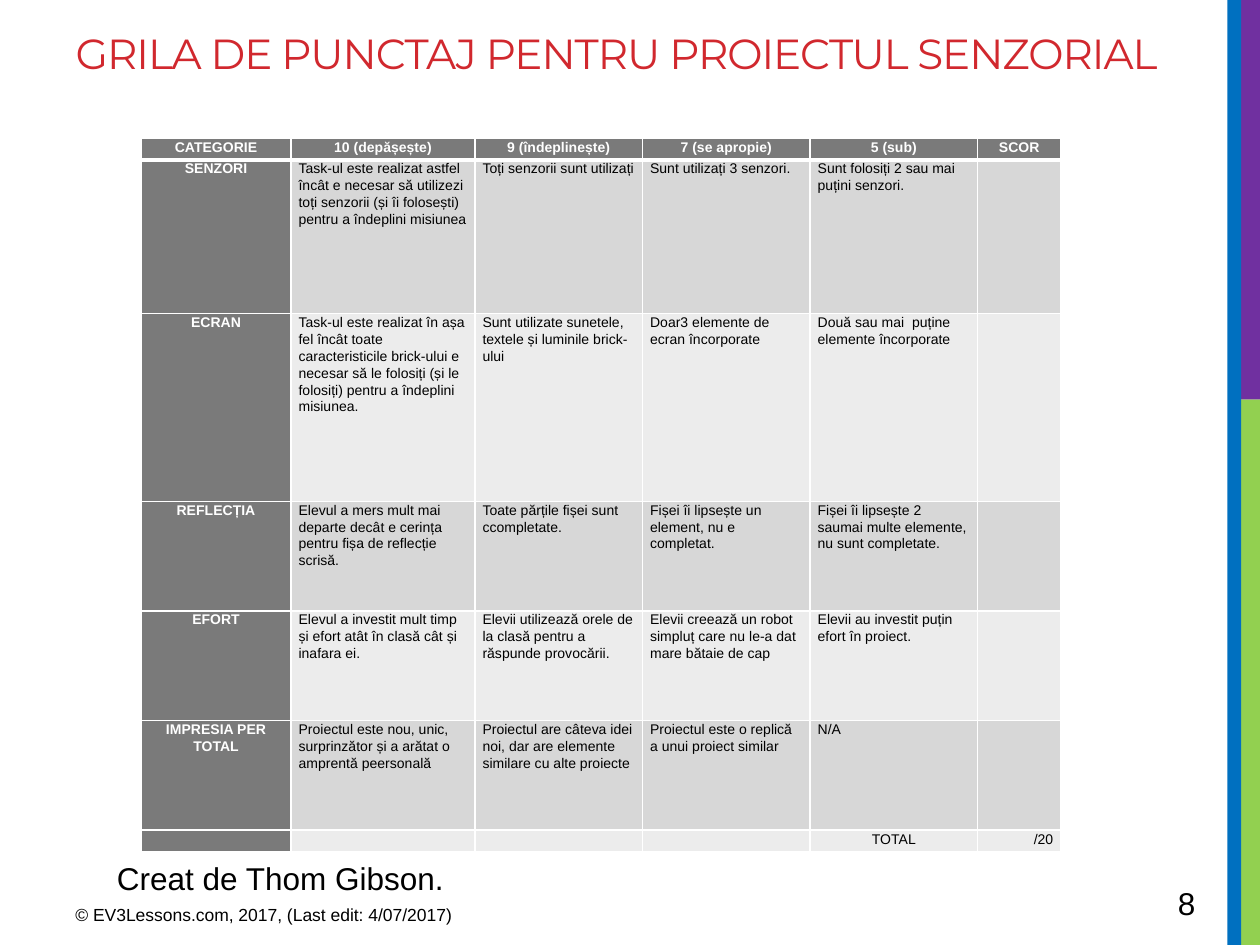
import pptx
import pptx.util
import pptx.dml.color
import pptx.enum.shapes
import pptx.enum.text
import pptx.oxml.ns
from lxml import etree

RGBColor = pptx.dml.color.RGBColor
Inches, Pt = pptx.util.Inches, pptx.util.Pt
ALIGN = pptx.enum.text.PP_ALIGN
ANCHOR = pptx.enum.text.MSO_ANCHOR

RED = RGBColor(0xD1, 0x28, 0x2E)
BLUE = RGBColor(0x00, 0x70, 0xC0)
GREEN = RGBColor(0x92, 0xD0, 0x50)
PURPLE = RGBColor(0x70, 0x30, 0xA0)
BLACK = RGBColor(0x00, 0x00, 0x00)
WHITE = RGBColor(0xFF, 0xFF, 0xFF)
DARK_GREY = RGBColor(0x7A, 0x7A, 0x7A)
BANDS = RGBColor(0xD7, 0xD7, 0xD7), RGBColor(0xEC, 0xEC, 0xEC)

TITLE = "GRILA DE PUNCTAJ PENTRU PROIECTUL SENZORIAL"
RUBRIC = [
    ["CATEGORIE", "10 (depășește)", "9 (îndeplinește)", "7 (se apropie)", "5 (sub)", "SCOR"],
    ["SENZORI",
     "Task-ul este realizat astfel încât e necesar să utilizezi toți senzorii (și îi folosești) pentru a îndeplini misiunea",
     "Toți senzorii sunt utilizați",
     "Sunt utilizați 3 senzori.",
     "Sunt folosiți 2 sau mai puțini senzori.", ""],
    ["ECRAN",
     "Task-ul este realizat în așa fel încât toate caracteristicile brick-ului e necesar să le folosiți (și le folosiți) pentru a îndeplini misiunea.",
     "Sunt utilizate sunetele, textele și luminile brick-ului",
     "Doar3 elemente de ecran încorporate",
     "Două sau mai  puține elemente încorporate", ""],
    ["REFLECȚIA",
     "Elevul a mers mult mai departe decât e cerința pentru fișa de reflecție scrisă.",
     "Toate părțile fișei sunt ccompletate.",
     "Fișei îi lipsește un element, nu e completat.",
     "Fișei îi lipsește 2 saumai multe elemente, nu sunt completate.", ""],
    ["EFORT",
     "Elevul a investit mult timp și efort atât în clasă cât și inafara ei.",
     "Elevii utilizează orele de la clasă pentru a răspunde provocării.",
     "Elevii creează un robot simpluț care nu le-a dat mare bătaie de cap",
     "Elevii au investit puțin efort în proiect.", ""],
    ["IMPRESIA PER TOTAL",
     "Proiectul este nou, unic, surprinzător și a arătat o amprentă peersonală",
     "Proiectul are câteva idei noi, dar are elemente similare cu alte proiecte",
     "Proiectul este o replică a unui proiect similar",
     "N/A", ""],
    ["", "", "", "", "TOTAL", "/20"],
]
COLUMN_WIDTHS = [1.19, 1.46, 1.33, 1.33, 1.33, 0.66]
ROW_HEIGHTS = [0.17, 1.22, 1.49, 0.87, 0.87, 0.87, 0.17]
TOTAL_ALIGN = {4: ALIGN.CENTER, 5: ALIGN.RIGHT}

SIDE_BARS = [
    (9.84, 3.17, 0.16, 4.33, GREEN),
    (9.8, 0, 0.2, 3.17, PURPLE),
    (9.74, 0, 0.11, 7.5, BLUE),
]
# text, position and size, font size, wrap, anchor
LABELS = [
    ("© EV3Lessons.com, 2017, (Last edit: 4/07/2017)", (0.5, 7.1, 3.75, 0.31), 10, True, ANCHOR.MIDDLE),
    ("8", (9.25, 6.97, 0.69, 0.4), 18, True, ANCHOR.MIDDLE),
    ("Creat de Thom Gibson.", (0.83, 6.77, 2.82, 0.4), 18, False, ANCHOR.TOP),
]


def write(frame, text, size=8, color=BLACK, font="Arial", bold=False,
          align=ALIGN.LEFT, line_spacing=None):
    para = frame.paragraphs[0]
    para.alignment = align
    para.line_spacing = line_spacing
    if not text:
        # the end mark sets the height of an empty line
        end = etree.SubElement(para._p, pptx.oxml.ns.qn("a:endParaRPr"))
        end.set("sz", str(size * 100))
        return None
    span = para.add_run()
    span.text = text
    span.font.size, span.font.name, span.font.bold = Pt(size), font, bold
    span.font.color.rgb = color
    return span


def set_borders(cell, bottom):
    """Draw white 1 pt borders, with the bottom one of the given width."""
    properties = cell._tc.get_or_add_tcPr()
    widths = {"lnL": 1, "lnR": 1, "lnT": 1, "lnB": bottom}
    for index, (tag, width) in enumerate(widths.items()):
        line = etree.Element(pptx.oxml.ns.qn("a:" + tag), w=str(Pt(width)))
        fill = etree.SubElement(line, pptx.oxml.ns.qn("a:solidFill"))
        etree.SubElement(fill, pptx.oxml.ns.qn("a:srgbClr"), val=str(WHITE))
        properties.insert(index, line)


def add_rubric(page):
    frame = page.shapes.add_table(
        len(RUBRIC), len(COLUMN_WIDTHS), Inches(1.12), Inches(1.1),
        Inches(sum(COLUMN_WIDTHS)), Inches(sum(ROW_HEIGHTS)))
    table = frame.table
    for column, width in zip(table.columns, COLUMN_WIDTHS):
        column.width = Inches(width)
    for row, height in zip(table.rows, ROW_HEIGHTS):
        row.height = Inches(height)
    for r, texts in enumerate(RUBRIC):
        for c, text in enumerate(texts):
            cell = table.cell(r, c)
            heading = r == 0 or c == 0
            align = ALIGN.CENTER if heading else ALIGN.LEFT
            if r == len(RUBRIC) - 1:
                align = TOTAL_ALIGN.get(c, align)
            cell.margin_left = cell.margin_right = Inches(0.06)
            cell.margin_top = cell.margin_bottom = 0
            cell.fill.solid()
            cell.fill.fore_color.rgb = DARK_GREY if heading else BANDS[(r - 1) % 2]
            set_borders(cell, bottom=3 if r == 0 else 1)
            write(cell.text_frame, text, color=WHITE if heading else BLACK,
                  bold=heading, align=align, line_spacing=1.07)


def main():
    deck = pptx.Presentation()
    deck.slide_width, deck.slide_height = Inches(10), Inches(7.5)
    page = deck.slides.add_slide(deck.slide_layouts[5])

    for left, top, width, height, color in SIDE_BARS:
        bar = page.shapes.add_shape(
            pptx.enum.shapes.MSO_SHAPE.RECTANGLE,
            Inches(left), Inches(top), Inches(width), Inches(height))
        bar.shadow.inherit = False
        bar.fill.solid()
        bar.fill.fore_color.rgb = color
        bar.line.fill.background()

    title = page.shapes.title
    title.left, title.top = Inches(0.5), Inches(0.17)
    title.width, title.height = Inches(9.02), Inches(1.5)
    title.text_frame.vertical_anchor = ANCHOR.TOP
    span = write(title.text_frame, TITLE, size=24, color=RED, font="Montserrat")
    span.font._element.set("spc", "-60")

    for text, place, size, wrap, anchor in LABELS:
        box = page.shapes.add_textbox(*map(Inches, place))
        box.text_frame.word_wrap = wrap
        box.text_frame.vertical_anchor = anchor
        write(box.text_frame, text, size=size)

    add_rubric(page)
    deck.save("out.pptx")


if __name__ == "__main__":
    main()
